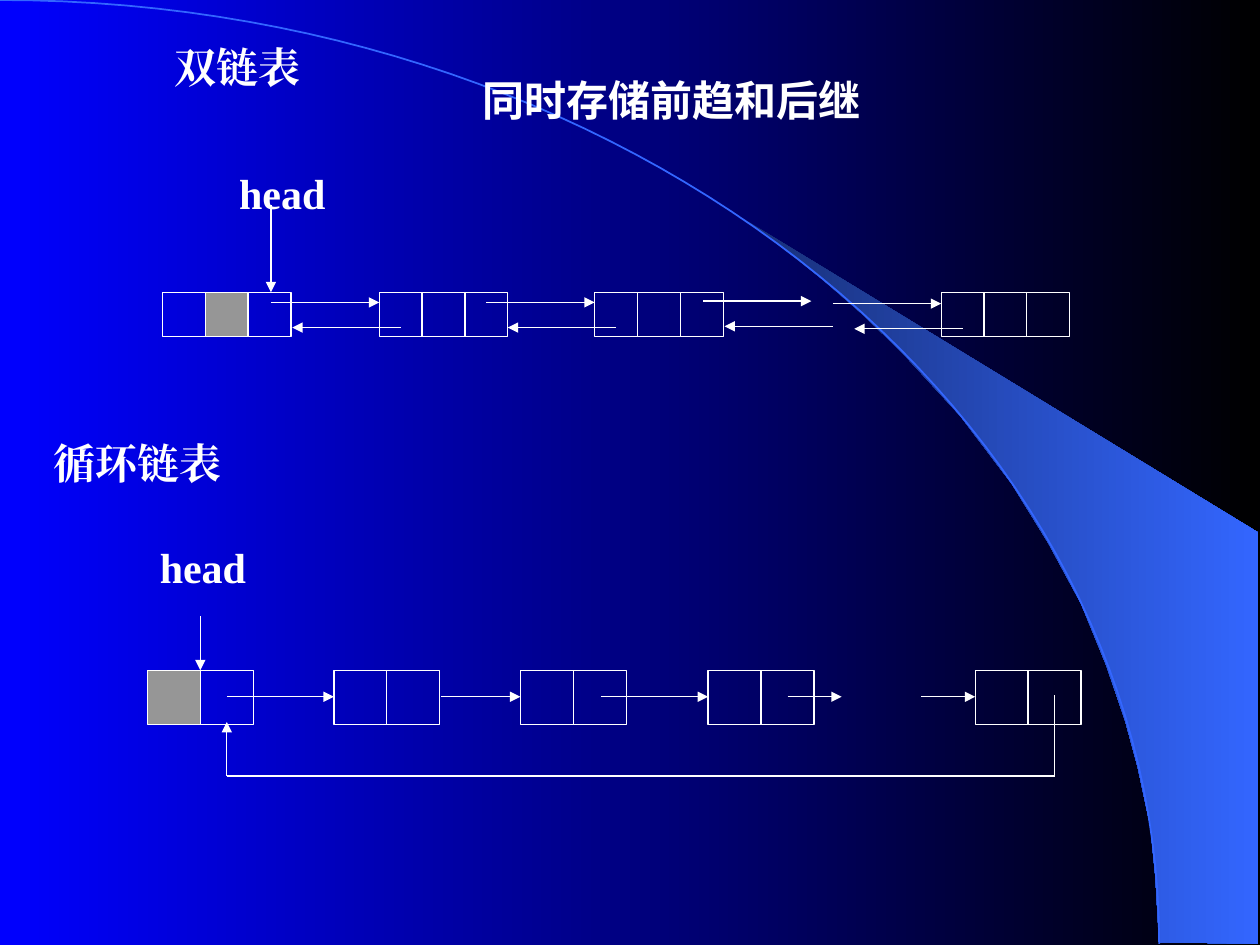
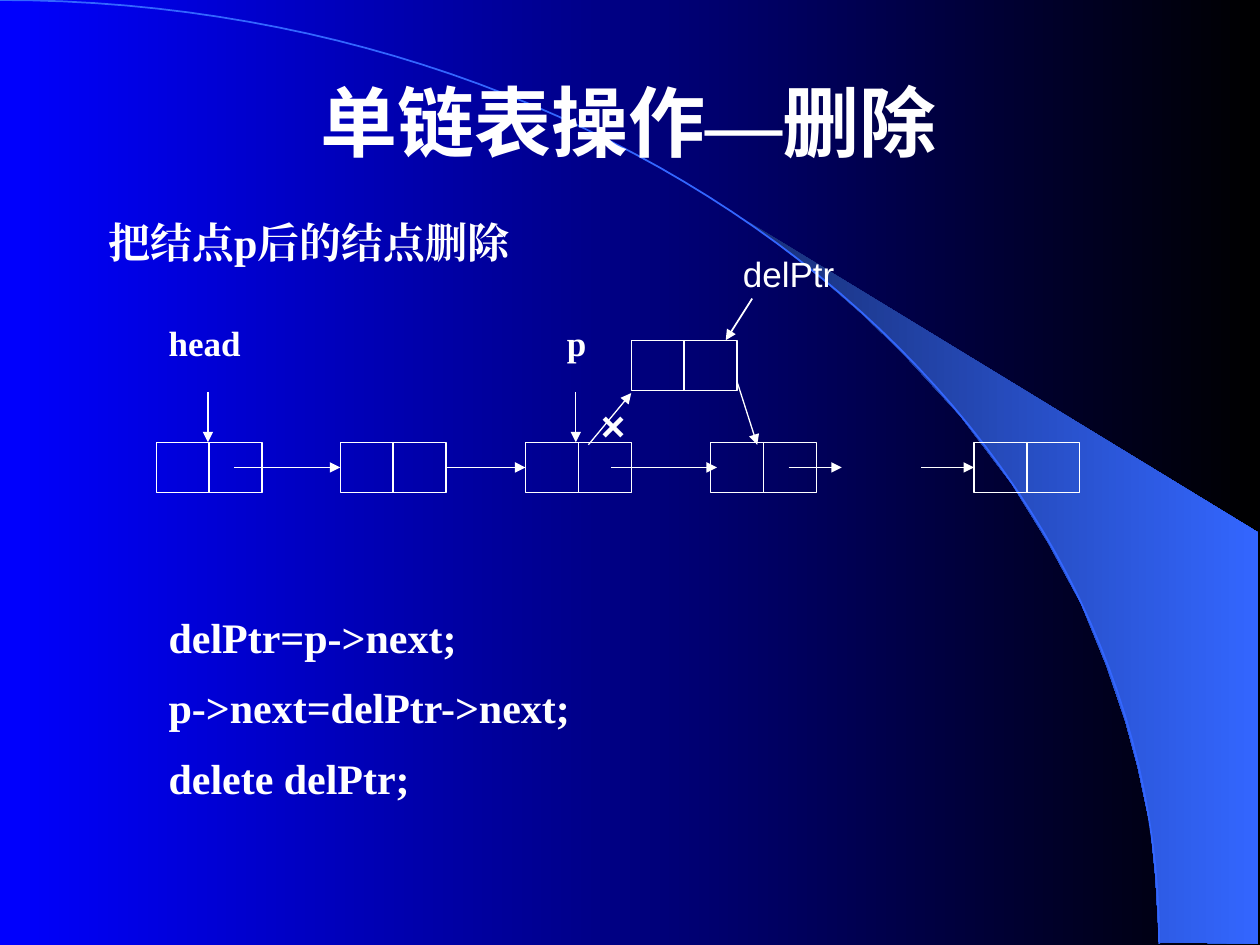
import pptx
import pptx.dml.color
import pptx.enum.shapes
import pptx.enum.text
import pptx.oxml
import pptx.oxml.ns
import pptx.util
from pptx.util import Inches

# Shared colours and fonts
WHITE = pptx.dml.color.RGBColor(0xFF, 0xFF, 0xFF)
BLUE = pptx.dml.color.RGBColor(0x00, 0x00, 0xFF)
BLACK = pptx.dml.color.RGBColor(0x00, 0x00, 0x00)
NAVY = pptx.dml.color.RGBColor(0x18, 0x2F, 0x76)
SKY = pptx.dml.color.RGBColor(0x33, 0x66, 0xFF)
GREY = pptx.dml.color.RGBColor(0x96, 0x96, 0x96)
SERIF = "Times New Roman"
SANS = "Arial"
LEFT = pptx.enum.text.PP_ALIGN.LEFT
CENTER = pptx.enum.text.PP_ALIGN.CENTER
TOP = pptx.enum.text.MSO_ANCHOR.TOP
MIDDLE = pptx.enum.text.MSO_ANCHOR.MIDDLE

# Text formats
HEADING = dict(size=24, font=SERIF, bold=True, align=LEFT, anchor=TOP, spacing=1.0)
TITLE = HEADING | dict(size=44, font=SANS, align=CENTER, anchor=MIDDLE)
NOTE = HEADING | dict(font=SANS, align=CENTER)
LABEL = HEADING | dict(size=20)
POINTER = TITLE | dict(size=20, bold=False)
CROSS = HEADING | dict(font=SANS)
CODE = HEADING | dict(spacing=1.4)

# Band on the right and arc across the slide
BAND = [(9.2, 7.48), (9.99, 7.49), (9.99, 4.23), (5.89, 1.73), (6.24, 1.99),
        (6.53, 2.22), (6.85, 2.5), (7.16, 2.8), (7.62, 3.3), (8.03, 3.84),
        (8.32, 4.31), (8.58, 4.79), (8.78, 5.28), (8.93, 5.72), (9.03, 6.09),
        (9.13, 6.56), (9.17, 6.96)]
ARC_STEPS = 60
ARC = []
for step in range(ARC_STEPS + 1):
    t = step / ARC_STEPS
    ARC.append((3 * (1 - t) ** 2 * t * 5.08 + 3 * (1 - t) * t ** 2 * 9.2 + t ** 3 * 9.2,
                3 * (1 - t) * t ** 2 * 3.35 + t ** 3 * 7.49))

# Slide 1: doubly linked list and circular list
# chains: node lefts, top, cells per node, cell width, cell height, grey cell of first node
# links: start, end, arrow at the end, line width
double_links = []
for start, y in [(2.15, 2.4), (3.86, 2.4), (5.58, 2.39), (6.61, 2.41)]:
    double_links.append(((start, y), (start + 0.86, y), True, 0.75))
for start, y in [(3.18, 2.6), (4.89, 2.6), (6.61, 2.59), (7.64, 2.61)]:
    double_links.append(((start, y), (start - 0.86, y), True, 0.75))
circular_links = [((start, 5.53), (end, 5.53), True, 0.75) for start, end in
                  [(1.8, 2.65), (3.5, 4.13), (4.77, 5.62), (6.25, 6.68), (7.31, 7.74)]]
list_kinds = dict(
    chains=[([1.29, 3.01, 4.72, 7.47], 2.32, 3, 0.34, 0.35, 1),
            ([1.17, 2.65, 4.13, 5.62, 7.74], 5.32, 2, 0.42, 0.43, 0)],
    links=double_links + circular_links + [
        ((2.15, 1.63), (2.15, 2.32), True, 0.75),
        ((1.59, 4.89), (1.59, 5.32), True, 0.75),
        ((8.37, 5.52), (8.37, 6.16), False, 0.75),
        ((8.37, 6.16), (1.8, 6.16), False, 0.75),
        ((1.8, 6.16), (1.8, 5.73), True, 0.75)],
    texts=[((1.29, 0.28, 1.92, 0.5), ["双链表"], HEADING),
           ((3.35, 0.54, 3.96, 0.5), ["同时存储前趋和后继"], NOTE),
           ((1.8, 1.28, 1.03, 0.52), ["head"], HEADING),
           ((0.33, 3.42, 2.25, 0.5), ["循环链表"], HEADING),
           ((1.17, 4.25, 1.06, 0.64), ["head"], HEADING)])

# Slide 2: deleting the node after p
list_links = [((start, 3.71), (end, 3.71), True, 0.75) for start, end in
              [(1.86, 2.7), (3.54, 4.17), (4.85, 5.69), (6.26, 6.68), (7.31, 7.73)]]
deletion = dict(
    chains=[([1.24, 2.7, 4.17, 5.64, 7.73], 3.51, 2, 0.42, 0.4, None),
            ([5.01], 2.7, 2, 0.42, 0.4, None)],
    links=list_links + [
        ((1.65, 3.11), (1.65, 3.51), True, 0.75),
        ((4.57, 3.11), (4.57, 3.51), True, 0.75),
        ((5.85, 3.03), (6.01, 3.53), True, 0.75),
        ((4.67, 3.53), (5.01, 3.12), True, 0.75),
        ((5.97, 2.37), (5.76, 2.7), True, 1)],
    texts=[((0.74, 0.33, 8.5, 1.25), [["单链表操作", ("—", SERIF), "删除"]], TITLE),
           ((0.76, 1.67, 4.25, 0.5), ["把结点p后的结点删除"], HEADING),
           ((1.24, 2.5, 1.05, 0.61), ["head"], LABEL),
           ((4.4, 2.5, 0.58, 0.61), ["p"], LABEL),
           ((5.76, 1.97, 1, 0.4), ["delPtr"], POINTER),
           ((4.67, 3.12, 0.42, 0.5), ["×"], CROSS),
           ((1.24, 4.64, 4, 1.78),
            ["delPtr=p->next;", "p->next=delPtr->next;", "delete delPtr;"], CODE)])


def set_gradient(fill, colors):
    fill.gradient()
    fill.gradient_angle = 0
    for stop, color, position in zip(fill.gradient_stops, colors, (0, 1)):
        stop.color.rgb = color
        stop.position = position


def add_text(slide, box, lines, style):
    frame = slide.shapes.add_textbox(*map(Inches, box)).text_frame
    frame.word_wrap = True
    frame.vertical_anchor = style["anchor"]
    for index, line in enumerate(lines):
        paragraph = frame.add_paragraph() if index else frame.paragraphs[0]
        paragraph.alignment = style["align"]
        paragraph.line_spacing = style["spacing"]
        for part in [line] if isinstance(line, str) else line:
            text, font = (part, style["font"]) if isinstance(part, str) else part
            run = paragraph.add_run()
            run.text = text
            run.font.color.rgb = WHITE
            values = dict(name=font, size=pptx.util.Pt(style["size"]), bold=style["bold"])
            for name, value in values.items():
                setattr(run.font, name, value)
            # East Asian typeface follows the Latin one
            run.font._element.append(pptx.oxml.parse_xml(
                f'<a:ea {pptx.oxml.ns.nsdecls("a")} typeface="{font}"/>'))


presentation = pptx.Presentation()
presentation.slide_width = Inches(10)
presentation.slide_height = Inches(7.5)
set_gradient(presentation.slide_master.background.fill, (BLUE, BLACK))

for content in (list_kinds, deletion):
    slide = presentation.slides.add_slide(presentation.slide_layouts[6])

    # Band and arc
    for points, closed in ((BAND, True), (ARC, False)):
        corners = [(Inches(x), Inches(y)) for x, y in points]
        builder = slide.shapes.build_freeform(*corners[0])
        builder.add_line_segments(corners[1:], close=closed)
        shape = builder.convert_to_shape()
        shape.shadow.inherit = False
        if closed:
            set_gradient(shape.fill, (NAVY, SKY))
            shape.line.fill.background()
        else:
            shape.fill.background()
            shape.line.color.rgb = SKY
            shape.line.width = pptx.util.Pt(1)

    # List nodes, each a row of cells
    for lefts, top, count, width, height, grey_cell in content["chains"]:
        for node, left in enumerate(lefts):
            for cell in range(count):
                shape = slide.shapes.add_shape(
                    pptx.enum.shapes.MSO_SHAPE.RECTANGLE, Inches(left + cell * width),
                    Inches(top), Inches(width), Inches(height))
                shape.shadow.inherit = False
                shape.line.color.rgb = WHITE
                shape.line.width = pptx.util.Pt(0.75)
                if node == 0 and cell == grey_cell:
                    shape.fill.solid()
                    shape.fill.fore_color.rgb = GREY
                else:
                    shape.fill.background()

    # Links between nodes
    for start, end, arrow, width in content["links"]:
        connector = slide.shapes.add_connector(
            pptx.enum.shapes.MSO_CONNECTOR.STRAIGHT, *map(Inches, start + end))
        connector.line.color.rgb = WHITE
        connector.line.width = pptx.util.Pt(width)
        namespace = pptx.oxml.ns.nsdecls("a")
        if arrow:
            connector.line._get_or_add_ln().append(
                pptx.oxml.parse_xml(f'<a:tailEnd {namespace} type="triangle"/>'))
        connector._element.spPr.append(pptx.oxml.parse_xml(f"<a:effectLst {namespace}/>"))

    # Headings, labels and code
    for box, lines, style in content["texts"]:
        add_text(slide, box, lines, style)

presentation.save("out.pptx")
